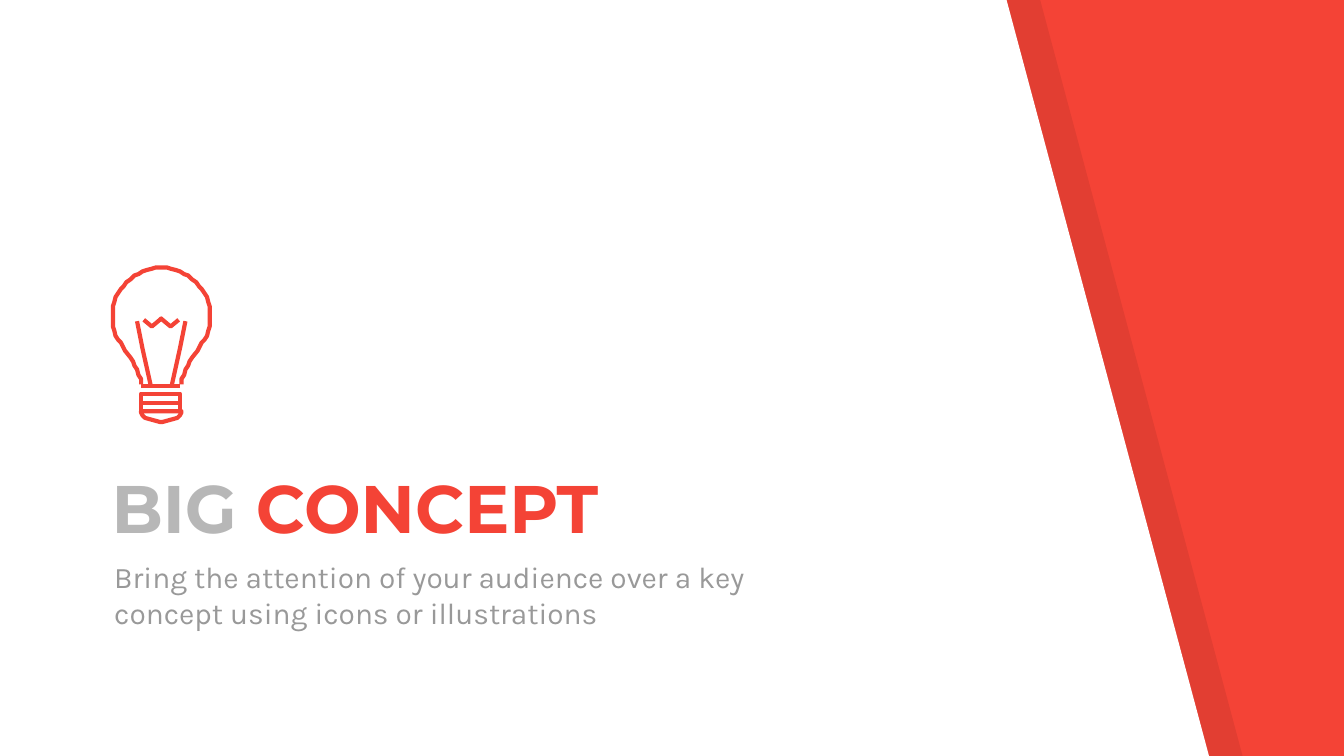
from pptx import Presentation
from pptx.util import Cm, Pt
from pptx.dml.color import RGBColor
from pptx.enum import shapes, text
from pptx.oxml import parse_xml
from pptx.oxml.ns import nsdecls, qn

# Content: places in inches
HEX = {"red": "F44336", "white": "FFFFFF", "black": "000000",
       "light": "B7B7B7", "gray": "999999"}
TITLE = [("BIG ", "light"), ("CONCEPT", "red")]
SUB = ("Bring the attention of your audience over a key "
       "concept using icons or illustrations")
PANEL = [(0, -0.01), (0, 5.64), (9, 5.64), (7.49, 0)]
PANELS = [(0.25, "black", 7), (0, "white", 100)]  # shift, colour, opacity

# Light bulb: left halves, mirrored about its axis
AXIS = 1.2
GLASS = [(1.05, 2.86), (1.05, 2.82), (1.03, 2.79), (1.02, 2.75), (1, 2.72),
         (0.99, 2.69), (0.97, 2.66), (0.93, 2.61), (0.9, 2.55), (0.88, 2.53),
         (0.86, 2.5), (0.85, 2.46), (0.84, 2.43), (0.84, 2.36), (0.84, 2.32),
         (0.84, 2.28), (0.85, 2.25), (0.86, 2.21), (0.88, 2.18), (0.9, 2.15),
         (0.92, 2.13), (0.94, 2.1), (0.97, 2.08), (1, 2.05), (1.03, 2.04),
         (1.06, 2.02), (1.09, 2.01), (1.13, 2), (1.16, 1.99), (1.2, 1.99)]
COIL = [(1.07, 2.38), (1.13, 2.43), (1.19, 2.38), (1.2, 2.37)]
TIP = [(1.05, 3.06), (1.05, 3.07), (1.06, 3.09), (1.08, 3.11),
       (1.19, 3.14), (1.2, 3.14)]
WIRE = [(1.02, 2.39), (1.06, 2.59), (1.12, 2.86)]
RINGS = [2.93, 3, 3.06]
BASE = (1.05, 1.34, 2.87)


def inch(n):
    return Cm(n * 2.54)


def rgb(name):
    return RGBColor.from_string(HEX[name])


def flip(pts):
    return [(2 * AXIS - x, y) for x, y in reversed(pts)]


def free(pts, close):
    pts = [(inch(x), inch(y)) for x, y in pts]
    pen = slide.shapes.build_freeform(*pts[0], scale=1.0)
    pen.add_line_segments(pts[1:], close=close)
    shape = pen.convert_to_shape()
    shape.shadow.inherit = False
    return shape


def stroke(pts, close=False):
    shape = free(pts, close)
    shape.fill.background()
    shape.line.color.rgb = rgb("red")
    shape.line.width = Pt(2.25)


def place(holder, box, anchor):
    holder.left, holder.top, holder.width, holder.height = map(inch, box)
    frame = holder.text_frame
    frame.word_wrap = True
    frame.auto_size = text.MSO_AUTO_SIZE.NONE
    frame.vertical_anchor = anchor
    frame.margin_left = frame.margin_right = inch(0.1)
    frame.margin_top = frame.margin_bottom = inch(0.1)
    slide.shapes._spTree.append(holder._element)  # in front of the panels
    para = frame.paragraphs[0]
    para.alignment = text.PP_ALIGN.LEFT
    para.line_spacing = 1.0
    para.space_before = Pt(0)
    return para


def style(font, name, size, bold):
    font.name, font.size, font.bold = name, Pt(size), bold


deck = Presentation()
deck.slide_width, deck.slide_height = inch(10), inch(5.625)
slide = deck.slides.add_slide(deck.slide_layouts[0])
slide.background.fill.solid()
slide.background.fill.fore_color.rgb = rgb("red")

# Slanted panels
for shift, color, alpha in PANELS:
    panel = free([(x + shift, y) for x, y in PANEL], True)
    panel.fill.solid()
    panel.fill.fore_color.rgb = rgb(color)
    panel.line.fill.background()
    if alpha < 100:
        tone = panel._element.spPr.find(qn("a:solidFill"))[0]
        tone.append(parse_xml(
            f'<a:alpha {nsdecls("a")} val="{alpha * 1000}"/>'))

# Title and subtitle
para = place(slide.shapes.title, (0.73, 2.9, 5.74, 1.27),
             text.MSO_ANCHOR.BOTTOM)
style(para.font, "Montserrat", 36, True)
for words, color in TITLE:
    run = para.add_run()
    run.text = words
    run.font.color.rgb = rgb(color)

para = place(slide.placeholders[1], (0.75, 4.06, 5.74, 0.86),
             text.MSO_ANCHOR.TOP)
para.text = SUB
style(para.font, "Karla", 16, False)
para.font.color.rgb = rgb("gray")

# Light bulb
left, right, low = BASE
for top, end in zip(RINGS, RINGS[1:]):
    stroke([(left, top), (right, top), (right, end), (left, end)], True)
stroke(TIP + flip(TIP), True)
for half in (GLASS, COIL):
    stroke(half + flip(half)[1:])
for wire in (WIRE, flip(WIRE)):
    stroke(wire)
line = slide.shapes.add_connector(
    shapes.MSO_CONNECTOR.STRAIGHT,
    inch(left), inch(low), inch(right), inch(low))
line.line.color.rgb = rgb("red")
line.line.width = Pt(2.25)
line._element.spPr.append(parse_xml(f'<a:effectLst {nsdecls("a")}/>'))

deck.save("out.pptx")
